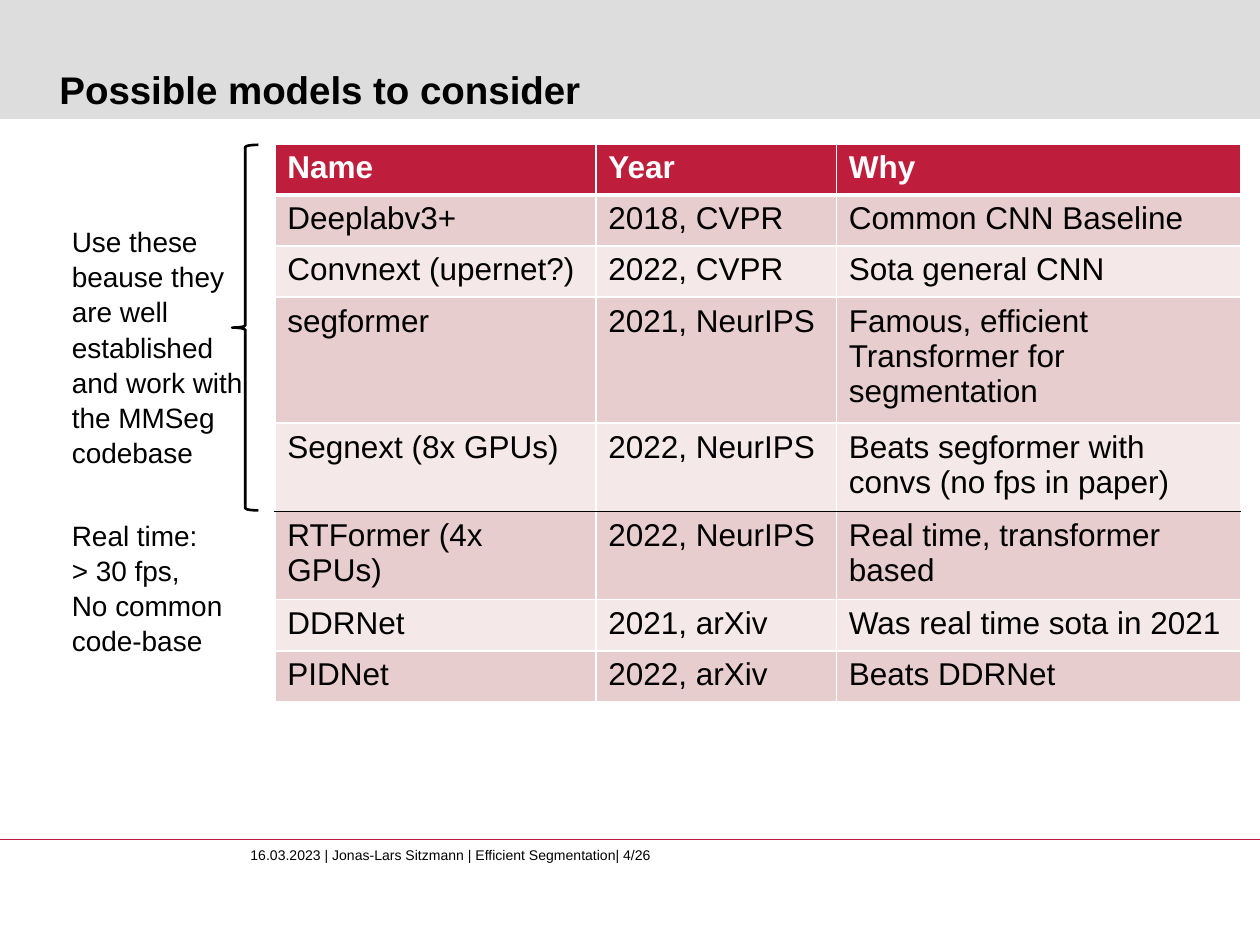
from lxml import etree
from pptx import Presentation
from pptx import util as u
from pptx.dml.color import RGBColor
from pptx.enum import shapes, text
from pptx.oxml.ns import qn

RED = RGBColor(0xBE, 0x1E, 0x3C)
ROSE = RGBColor(0xE8, 0xCD, 0xCE)
PALE_ROSE = RGBColor(0xF4, 0xE8, 0xE8)
GREY = RGBColor(0xDD, 0xDD, 0xDD)
BLACK = RGBColor(0, 0, 0)
WHITE = RGBColor(0xFF, 0xFF, 0xFF)

MODELS = [
    ("Name", "Year", "Why"),
    ("Deeplabv3+", "2018, CVPR", "Common CNN Baseline"),
    ("Convnext (upernet?)", "2022, CVPR", "Sota general CNN"),
    ("segformer", "2021, NeurIPS", "Famous, efficient Transformer for segmentation"),
    ("Segnext (8x GPUs)", "2022, NeurIPS", "Beats segformer with convs (no fps in paper)"),
    ("RTFormer (4x GPUs)", "2022, NeurIPS", "Real time, transformer based"),
    ("DDRNet", "2021, arXiv", "Was real time sota in 2021"),
    ("PIDNet", "2022, arXiv", "Beats DDRNet"),
]
COLUMN_WIDTHS = (6.47, 4.85, 8.15)
ROW_HEIGHT = 1.03
LAST_ESTABLISHED_ROW = 4


def box(left, top, width, height):
    return u.Cm(left), u.Cm(top), u.Cm(width), u.Cm(height)


def set_attributes(target, values):
    for name, value in values.items():
        setattr(target, name, value)


def format_font(font, size, color=BLACK, bold=False):
    set_attributes(font, {"name": "Arial", "size": u.Pt(size), "bold": bold})
    font.color.rgb = color


def add_text(slide, area, paragraphs, size, bold=False, spacing=1.0, inset=True,
             anchor=text.MSO_ANCHOR.TOP):
    frame = slide.shapes.add_textbox(*area).text_frame
    set_attributes(frame, {"word_wrap": True, "vertical_anchor": anchor,
                           "text": "\n".join(paragraphs)})
    if not inset:
        set_attributes(frame, dict.fromkeys(
            ("margin_left", "margin_top", "margin_right", "margin_bottom"), 0))
    for paragraph in frame.paragraphs:
        paragraph.line_spacing = spacing
        format_font(paragraph.font, size, bold=bold)
        for run in paragraph.runs:
            format_font(run.font, size, bold=bold)


def add_header(slide, area):
    left, top, width, height = area
    band = slide.shapes.add_shape(shapes.MSO_SHAPE.RECTANGLE, *area)
    band.shadow.inherit = False
    band.fill.solid()
    band.fill.fore_color.rgb = GREY
    band.line.fill.background()
    title_area = (left + u.Cm(1.2), top + u.Cm(0.3), width - u.Cm(2.13), height - u.Cm(0.43))
    add_text(slide, title_area, ["Possible models to consider"], 22, bold=True,
             inset=False, anchor=text.MSO_ANCHOR.BOTTOM)


def add_footer(slide, area):
    left, top, width, height = area
    rule = slide.shapes.add_connector(shapes.MSO_CONNECTOR.STRAIGHT, left, top, left + width, top)
    rule.line.color.rgb = RED
    rule.line.width = u.Pt(0.75)
    etree.SubElement(rule._element.spPr, qn("a:effectLst"))
    add_text(slide, (left + u.Cm(5.05), top + u.Cm(0.15), u.Cm(13.84), u.Cm(0.33)),
             ["16.03.2023 | Jonas-Lars Sitzmann | Efficient Segmentation| 4/26"], 8, inset=False)


def set_borders(cell, borders):
    """Draw borders given as {side: (colour, points)}, sides in the order L, R, T, B."""
    properties = cell._tc.get_or_add_tcPr()
    for index, (side, (color, points)) in enumerate(borders.items()):
        line = etree.Element(qn(f"a:ln{side}"), w=str(u.Pt(points)))
        fill = etree.SubElement(line, qn("a:solidFill"))
        etree.SubElement(fill, qn("a:srgbClr"), val=str(color))
        properties.insert(index, line)


def row_borders(row):
    thin, divider, thick = (WHITE, 1), (BLACK, 1), (WHITE, 3)
    edges = {0: thick, LAST_ESTABLISHED_ROW: divider}
    return {"L": thin, "R": thin, "T": edges.get(row - 1, thin), "B": edges.get(row, thin)}


def add_model_table(slide, area):
    table = slide.shapes.add_table(len(MODELS), len(COLUMN_WIDTHS), *area).table
    for column, width in zip(table.columns, COLUMN_WIDTHS):
        column.width = u.Cm(width)
    for row, values in enumerate(MODELS):
        header = row == 0
        table.rows[row].height = u.Cm(ROW_HEIGHT)
        for column, value in enumerate(values):
            cell = table.cell(row, column)
            cell.text = value
            format_font(cell.text_frame.paragraphs[0].runs[0].font, 18,
                        WHITE if header else BLACK, header)
            cell.fill.solid()
            cell.fill.fore_color.rgb = RED if header else ROSE if row % 2 else PALE_ROSE
            set_borders(cell, row_borders(row))


def add_side_notes(slide, area):
    left, top, width, height = area
    add_text(slide, (left, top + u.Cm(7.37), u.Cm(5.05), u.Cm(3)),
             ["Real time:\v> 30 fps,", "No common code-base"], 16, spacing=1.05)
    add_text(slide, (left, top + u.Cm(1.45), width, u.Cm(5.05)),
             ["Use these beause they are well established and work with the MMSeg", "codebase"],
             16, spacing=1.05)
    brace_width = u.Cm(0.53)
    brace = slide.shapes.add_shape(shapes.MSO_SHAPE.LEFT_BRACE, left + width - brace_width,
                                   top, brace_width, u.Cm(7.37))
    brace.shadow.inherit = False
    brace.fill.background()
    brace.line.color.rgb = BLACK
    brace.line.width = u.Pt(1.5)


def main():
    presentation = Presentation()
    set_attributes(presentation, {"slide_width": u.Cm(25.4), "slide_height": u.Cm(19.05)})
    slide = presentation.slides.add_slide(presentation.slide_layouts[6])
    add_header(slide, box(0, 0, 25.4, 2.4))
    add_footer(slide, box(0, 16.92, 25.4, 2.13))
    add_model_table(slide, box(5.54, 2.9, sum(COLUMN_WIDTHS), ROW_HEIGHT * len(MODELS)))
    add_side_notes(slide, box(1.2, 2.92, 4.01, 10.37))
    presentation.save("out.pptx")


if __name__ == "__main__":
    main()
